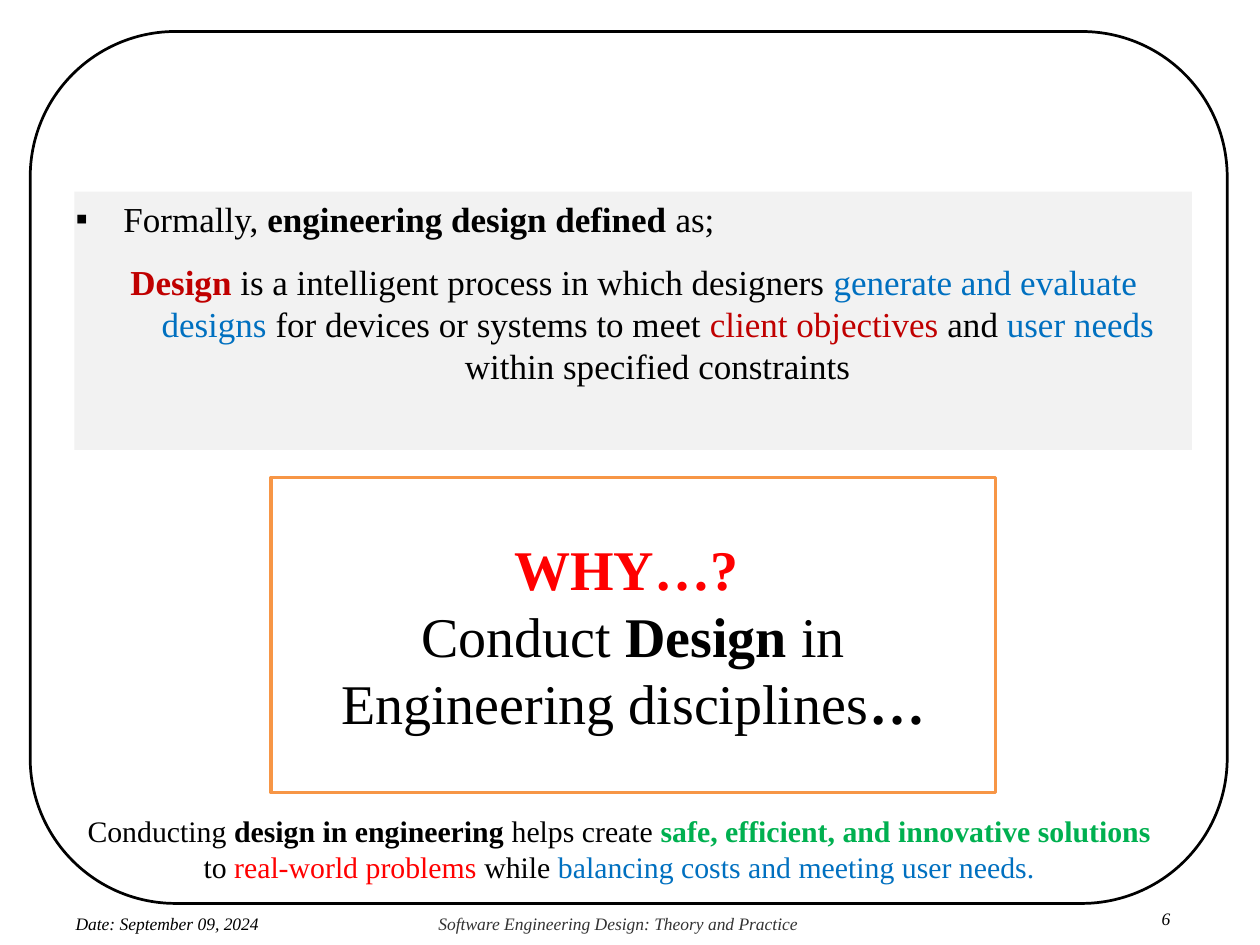
from dataclasses import dataclass

from lxml import etree
from pptx import Presentation
from pptx.dml.color import RGBColor
from pptx.enum.shapes import MSO_SHAPE
from pptx.enum.text import MSO_ANCHOR, PP_ALIGN
from pptx.oxml.ns import qn
from pptx.util import Inches, Pt

RECT = MSO_SHAPE.RECTANGLE
ROUND = MSO_SHAPE.ROUNDED_RECTANGLE
MIDDLE = MSO_ANCHOR.MIDDLE
TOP = MSO_ANCHOR.TOP
LEFT = PP_ALIGN.LEFT
CENTER = PP_ALIGN.CENTER
WIDE, HIGH = Inches(10), Inches(7.5)
COLS, ROWS = 100, 75


@dataclass(frozen=True)
class Theme:
    """Hold the font, colours and type sizes."""
    font: str = "Times New Roman"
    black: str = "000000"
    gray: str = "333333"
    panel: str = "F2F2F2"
    white: str = "FFFFFF"
    orange: str = "F79646"
    crimson: str = "C00000"
    red: str = "FF0000"
    blue: str = "0070C0"
    green: str = "00B050"
    small: int = 10
    note: int = 17
    body: int = 20
    big: int = 32


T = Theme()


def place(col, row, cols, rows):
    """Turn grid cells into lengths on the slide."""
    across, down = WIDE / COLS, HIGH / ROWS
    return [round(n) for n in (col * across, row * down, cols * across, rows * down)]


def add_box(slide, kind, cells, fill=None, line=None, weight=1):
    """Add a plain shape with an optional fill and outline."""
    box = slide.shapes.add_shape(kind, *place(*cells))
    box.shadow.inherit = False
    if fill:
        box.fill.solid()
        box.fill.fore_color.rgb = RGBColor.from_string(fill)
    else:
        box.fill.background()
    if line:
        box.line.color.rgb = RGBColor.from_string(line)
        box.line.width = Pt(weight)
    else:
        box.line.fill.background()
    return box


def set_frame(shape, side=0.1, top=0.05, foot=0.05, anchor=TOP):
    """Set wrapping, margins and anchor, and return the text frame."""
    frame = shape.text_frame
    frame.word_wrap = True
    frame.margin_left = frame.margin_right = Inches(side)
    frame.margin_top, frame.margin_bottom = Inches(top), Inches(foot)
    frame.vertical_anchor = anchor
    return frame


def add_runs(para, parts, size, align=CENTER, italic=False):
    """Write (text, colour, bold) parts as runs."""
    para.alignment = align
    for text, color, bold in parts:
        run = para.add_run()
        run.text = text
        font = run.font
        font.name, font.size = T.font, Pt(size)
        font.bold, font.italic = bold, italic
        font.color.rgb = RGBColor.from_string(color)


def hang(para, mark=None):
    """Give a paragraph a hanging indent and an optional bullet."""
    props = para._p.get_or_add_pPr()
    props.set("marL", str(Inches(0.39)))
    props.set("indent", str(Inches(-0.38)))
    if mark:
        etree.SubElement(props, qn("a:buFont")).set("typeface", T.font)
        etree.SubElement(props, qn("a:buChar")).set("char", mark)


def add_label(slide, cells, text, color=T.black):
    """Add one italic line of the footer."""
    frame = set_frame(slide.shapes.add_textbox(*place(*cells)), 0, 0, 0)
    para = frame.paragraphs[0]
    add_runs(para, [(text, color, False)], T.small, LEFT, True)
    para.line_spacing = Pt(11.8)


def add_panel(slide):
    """Add the shaded definition of engineering design."""
    box = add_box(slide, RECT, (5.9, 15.2, 88.7, 20.5), T.panel)
    frame = set_frame(box, 0, 0.05, 0)
    lead, body = frame.paragraphs[0], frame.add_paragraph()
    hang(lead, "▪")
    hang(body)
    lead.space_after = body.space_before = body.space_after = Pt(6)
    add_runs(lead, [
        ("Formally, ", T.black, False),
        ("engineering design defined ", T.black, True),
        ("as;", T.black, False),
    ], T.body, LEFT)
    add_runs(body, [
        ("Design ", T.crimson, True),
        ("is a intelligent process in which designers ", T.black, False),
        ("generate and evaluate designs ", T.blue, False),
        ("for devices or systems to meet ", T.black, False),
        ("client objectives ", T.crimson, False),
        ("and ", T.black, False),
        ("user needs ", T.blue, False),
        ("within specified constraints", T.black, False),
    ], T.body)


def add_ask(slide):
    """Add the framed question."""
    box = add_box(slide, RECT, (21.5, 37.9, 57.5, 25), T.white, T.orange, 2)
    frame = set_frame(box, anchor=MIDDLE)
    add_runs(frame.paragraphs[0], [("WHY…? ", T.red, True)], T.big)
    add_runs(frame.add_paragraph(), [
        ("Conduct ", T.black, False),
        ("Design ", T.black, True),
        ("in Engineering disciplines", T.black, False),
        ("…", T.black, True),
    ], T.big)


def add_reply(slide):
    """Add the answer below the question."""
    frame = set_frame(slide.shapes.add_textbox(*place(4.8, 64, 88.7, 6.7)))
    add_runs(frame.paragraphs[0], [
        ("Conducting ", T.black, False),
        ("design in engineering ", T.black, True),
        ("helps create ", T.black, False),
        ("safe, efficient, and innovative solutions ", T.green, True),
        ("to ", T.black, False),
        ("real-world problems ", T.red, False),
        ("while ", T.black, False),
        ("balancing costs and meeting user needs.", T.blue, False),
    ], T.note)


def main():
    """Build and save the slide."""
    deck = Presentation()
    deck.slide_width, deck.slide_height = WIDE, HIGH
    slide = deck.slides.add_slide(deck.slide_layouts[6])
    add_box(slide, ROUND, (2.4, 2.5, 95, 69.2), line=T.black, weight=1.56)
    add_label(slide, (92.2, 72.1, 2.4, 1.6), "6")
    add_label(slide, (34.8, 72.5, 28.9, 1.6),
              "Software Engineering Design: Theory and Practice", T.gray)
    add_panel(slide)
    add_ask(slide)
    add_label(slide, (6, 72.5, 15.8, 1.6), "Date: September 09, 2024")
    add_reply(slide)
    deck.save("out.pptx")


if __name__ == "__main__":
    main()
